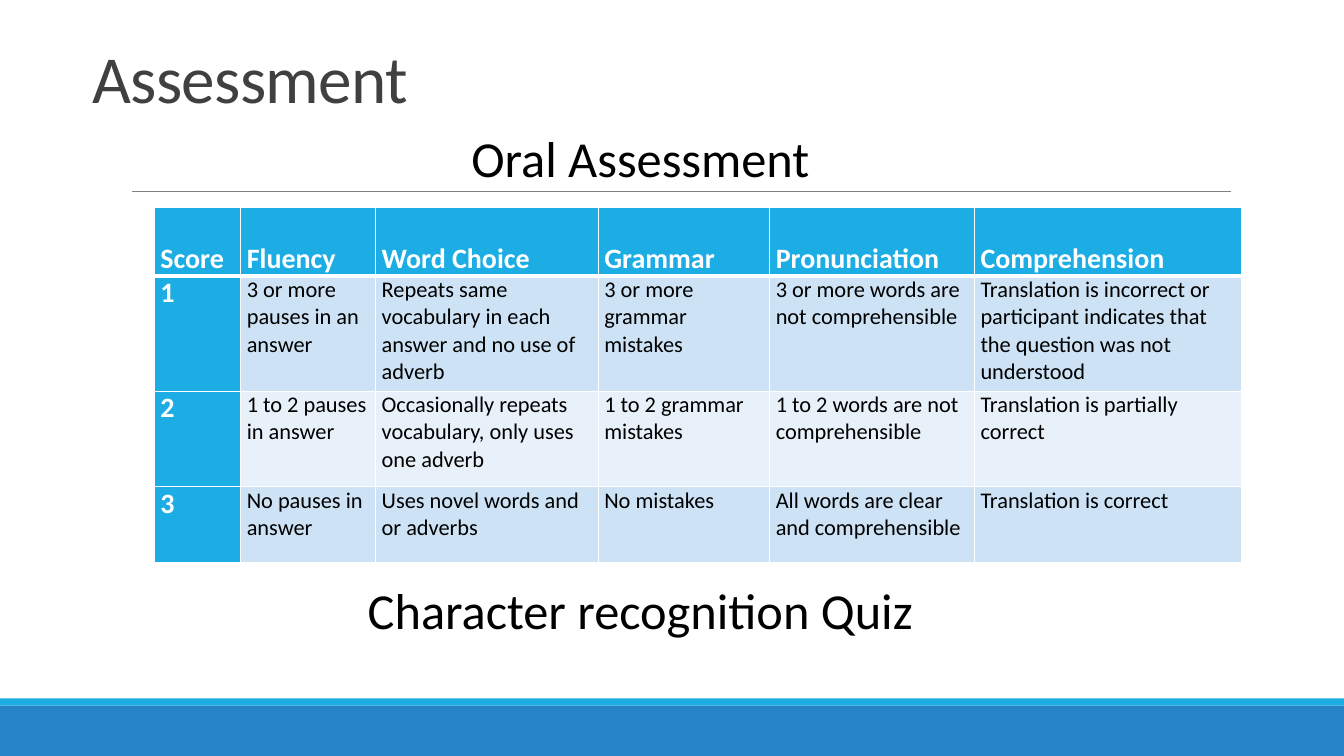
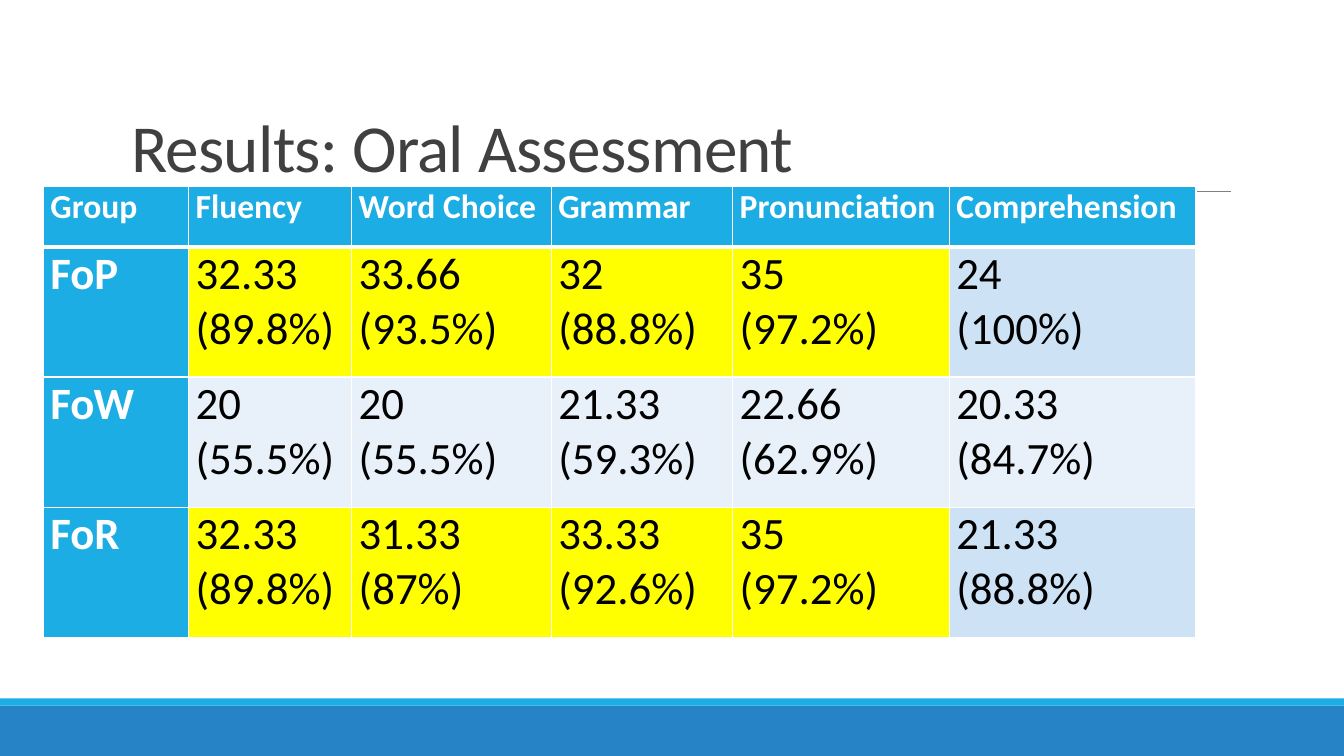
from dataclasses import dataclass

from lxml import etree
from pptx import Presentation
from pptx.dml.color import RGBColor
from pptx.enum.shapes import MSO_CONNECTOR, MSO_SHAPE
from pptx.enum.text import MSO_ANCHOR, MSO_AUTO_SIZE, PP_ALIGN
from pptx.oxml.ns import qn
from pptx.slide import Slide
from pptx.table import _Cell
from pptx.text.text import TextFrame
from pptx.util import Cm, Pt

RECT = MSO_SHAPE.RECTANGLE
STRAIGHT = MSO_CONNECTOR.STRAIGHT
BOTTOM = MSO_ANCHOR.BOTTOM
TOP = MSO_ANCHOR.TOP
NO_FIT = MSO_AUTO_SIZE.NONE
LEFT = PP_ALIGN.LEFT
CENTER = PP_ALIGN.CENTER
TITLE_ONLY = 5


@dataclass(frozen=True)
class Theme:
    font: str = "Calibri"
    band: str = "2683C6"
    accent: str = "1CADE4"
    rule: str = "808080"
    title: str = "404040"
    text: str = "000000"
    white: str = "FFFFFF"
    stripes: tuple[str, str] = ("CDE3F5", "E8F1FA")
    highlight: str = "FFFF00"
    title_size: float = 48
    caption_size: float = 36
    grid: float = 1
    header_rule: float = 3


@dataclass(frozen=True)
class Box:
    left: float
    top: float
    width: float
    height: float

    def emu(self) -> tuple[Cm, Cm, Cm, Cm]:
        return Cm(self.left), Cm(self.top), Cm(self.width), Cm(self.height)


@dataclass(frozen=True)
class Band:
    box: Box
    color: str


@dataclass(frozen=True)
class Caption:
    text: str
    top: float
    width: float


@dataclass(frozen=True)
class ScoreTable:
    left: float
    top: float
    cols: tuple[float, ...]
    rows: tuple[float, ...]
    cells: tuple[tuple[str, ...], ...]
    header_size: float
    label_size: float
    body_size: float
    inset: float
    header_spacing: float = 1.0
    marked_rows: tuple[int, ...] = ()
    marked_cols: tuple[int, ...] = ()


@dataclass(frozen=True)
class Page:
    title: str
    title_box: Box
    table: ScoreTable
    captions: tuple[Caption, ...] = ()


THEME = Theme()
WIDTH, HEIGHT = 33.87, 19.05
CAPTION_CENTER = 16.14
BANDS = (
    Band(Box(0, 17.78, WIDTH, 1.27), THEME.band),
    Band(Box(0, 17.6, WIDTH, 0.18), THEME.accent),
)

RUBRIC = ScoreTable(
    left=3.89, top=5.23,
    cols=(2.18, 3.4, 5.61, 4.32, 5.16, 6.73),
    rows=(1.7, 2.9, 2.41, 1.9),
    cells=(
        ("Score", "Fluency", "Word Choice", "Grammar", "Pronunciation", "Comprehension"),
        ("1", "3 or more pauses in an answer",
         "Repeats same vocabulary in each answer and no use of adverb",
         "3 or more grammar mistakes", "3 or more words are not comprehensible",
         "Translation is incorrect or participant indicates that the question was not understood"),
        ("2", "1 to 2 pauses in answer",
         "Occasionally repeats vocabulary, only uses one adverb",
         "1 to 2 grammar mistakes", "1 to 2 words are not comprehensible",
         "Translation is partially correct"),
        ("3", "No pauses in answer", "Uses novel words and or adverbs", "No mistakes",
         "All words are clear and comprehensible", "Translation is correct"),
    ),
    header_size=20, label_size=20, body_size=16, inset=0.15, header_spacing=2.0,
)

RESULTS = ScoreTable(
    left=1.09, top=4.7,
    cols=(3.66, 4.11, 5.03, 4.57, 5.46, 6.22),
    rows=(1.52, 3.28, 3.28, 3.28),
    cells=(
        ("Group", "Fluency", "Word Choice", "Grammar", "Pronunciation", "Comprehension"),
        ("FoP", "32.33 (89.8%)", "33.66\n(93.5%)", "32\n(88.8%)", "35\n(97.2%)", "24\n(100%)"),
        ("FoW", "20\n(55.5%)", "20\n(55.5%)", "21.33\n(59.3%)", "22.66\n(62.9%)", "20.33\n(84.7%)"),
        ("FoR", "32.33\n(89.8%)", "31.33\n(87%)", "33.33\n(92.6%)", "35\n(97.2%)", "21.33\n(88.8%)"),
    ),
    header_size=24, label_size=32, body_size=32, inset=0.18,
    marked_rows=(1, 3), marked_cols=(1, 2, 3, 4),
)

PAGES = (
    Page("Assessment", Box(2.08, 0.74, 29.21, 2.34), RUBRIC,
         (Caption("Oral Assessment", 3.07, 9.12),
          Caption("Character recognition Quiz", 14.48, 14.4))),
    Page("Results: Oral Assessment", Box(3.05, 0.79, 27.94, 4.04), RESULTS),
)


def rgb(color: str) -> RGBColor:
    return RGBColor.from_string(color)


def format_text(tf: TextFrame, size: float, color: str, bold: bool = False,
                align: PP_ALIGN = LEFT, spacing: float = 1.0) -> None:
    for p in tf.paragraphs:
        p.alignment = align
        p.line_spacing = spacing
        for r in p.runs:
            r.font.name = THEME.font
            r.font.size = Pt(size)
            r.font.bold = bold
            r.font.color.rgb = rgb(color)


def add_bands(s: Slide) -> None:
    for band in BANDS:
        sp = s.shapes.add_shape(RECT, *band.box.emu())
        sp.shadow.inherit = False
        sp.fill.solid()
        sp.fill.fore_color.rgb = rgb(band.color)
        sp.line.fill.background()
    rule = s.shapes.add_connector(STRAIGHT, Cm(3.33), Cm(4.83), Cm(31.01), Cm(4.83))
    rule.line.color.rgb = rgb(THEME.rule)
    rule.line.width = Pt(0.5)
    etree.SubElement(rule._element.spPr, qn("a:effectLst"))


def set_title(s: Slide, text: str, box: Box) -> None:
    sp = s.shapes.title
    sp.left, sp.top, sp.width, sp.height = box.emu()
    tf = sp.text_frame
    tf.text = text
    tf.word_wrap = True
    tf.auto_size = NO_FIT
    tf.vertical_anchor = BOTTOM
    format_text(tf, THEME.title_size, THEME.title, spacing=0.85)
    for r in tf.paragraphs[0].runs:
        r.font._element.set("spc", "-50")


def add_caption(s: Slide, caption: Caption) -> None:
    box = Box(CAPTION_CENTER - caption.width / 2, caption.top, caption.width, 1.8)
    tf = s.shapes.add_textbox(*box.emu()).text_frame
    tf.text = caption.text
    tf.word_wrap = False
    format_text(tf, THEME.caption_size, THEME.text, align=CENTER)


def set_borders(cell: _Cell, top: float, bottom: float) -> None:
    widths = {"a:lnL": THEME.grid, "a:lnR": THEME.grid, "a:lnT": top, "a:lnB": bottom}
    tc_pr = cell._tc.get_or_add_tcPr()
    for i, (tag, width) in enumerate(widths.items()):
        ln = etree.Element(qn(tag), w=str(Pt(width)))
        fill = etree.SubElement(ln, qn("a:solidFill"))
        etree.SubElement(fill, qn("a:srgbClr"), val=THEME.white)
        tc_pr.insert(i, ln)


def cell_fill(spec_table: ScoreTable, row: int, col: int) -> str:
    if row == 0 or col == 0:
        return THEME.accent
    if row in spec_table.marked_rows and col in spec_table.marked_cols:
        return THEME.highlight
    return THEME.stripes[(row - 1) % 2]


def format_cell(cell: _Cell, data: ScoreTable, row: int, col: int) -> None:
    is_header, is_label = row == 0, col == 0
    cell.text = data.cells[row][col]
    cell.margin_left = cell.margin_right = Cm(data.inset)
    cell.margin_top = cell.margin_bottom = 0
    cell.vertical_anchor = TOP
    cell.fill.solid()
    cell.fill.fore_color.rgb = rgb(cell_fill(data, row, col))
    size = data.header_size if is_header else data.label_size if is_label else data.body_size
    strong = is_header or is_label
    format_text(cell.text_frame, size, THEME.white if strong else THEME.text, bold=strong,
                spacing=data.header_spacing if is_header else 1.0)
    set_borders(cell, top=THEME.header_rule if row == 1 else THEME.grid,
                bottom=THEME.header_rule if is_header else THEME.grid)


def add_score_table(s: Slide, data: ScoreTable) -> None:
    box = Box(data.left, data.top, sum(data.cols), sum(data.rows))
    table = s.shapes.add_table(len(data.rows), len(data.cols), *box.emu()).table
    for column, width in zip(table.columns, data.cols):
        column.width = Cm(width)
    for i, height in enumerate(data.rows):
        table.rows[i].height = Cm(height)
        for j in range(len(data.cols)):
            format_cell(table.cell(i, j), data, i, j)


def main() -> None:
    prs = Presentation()
    prs.slide_width, prs.slide_height = Cm(WIDTH), Cm(HEIGHT)
    for page in PAGES:
        s = prs.slides.add_slide(prs.slide_layouts[TITLE_ONLY])
        add_bands(s)
        set_title(s, page.title, page.title_box)
        add_score_table(s, page.table)
        for caption in page.captions:
            add_caption(s, caption)
    prs.save("out.pptx")


if __name__ == "__main__":
    main()
